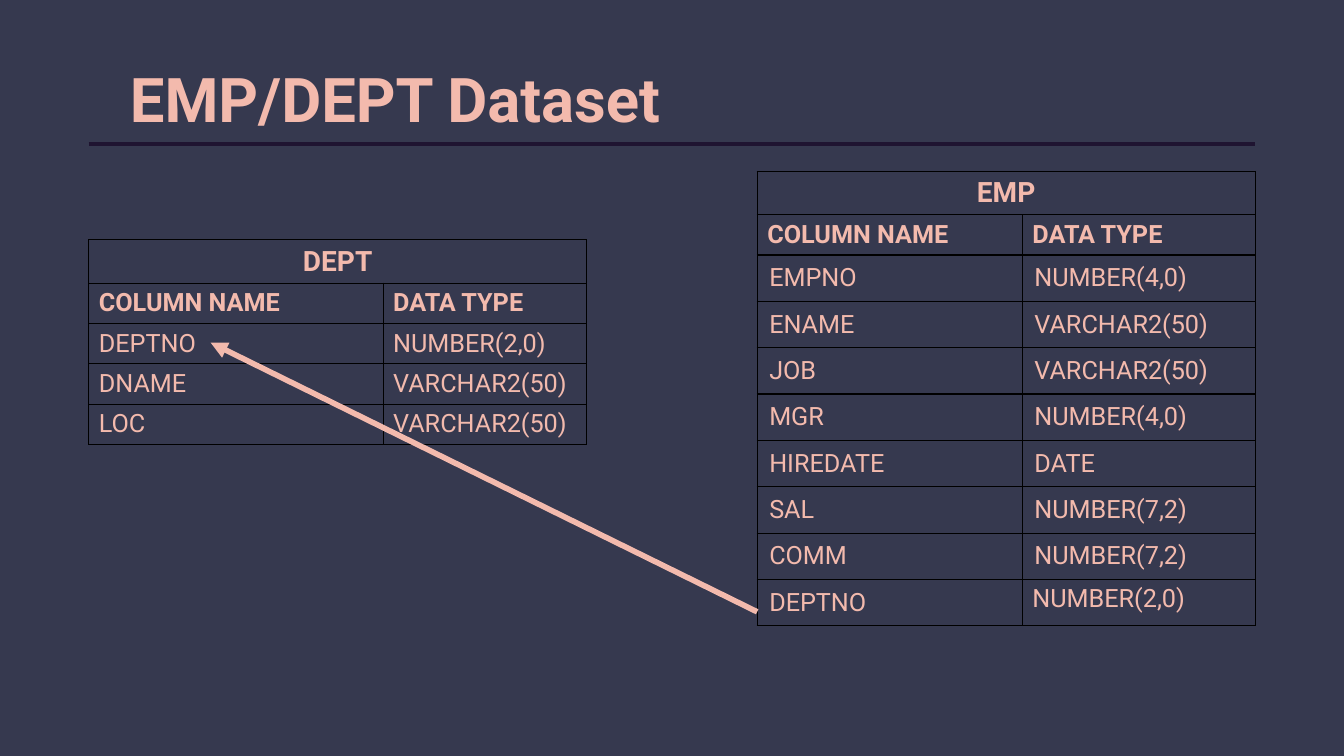
from lxml.etree import SubElement
from pptx import Presentation
from pptx.dml.color import RGBColor
from pptx.enum.shapes import MSO_CONNECTOR, MSO_SHAPE
from pptx.enum.text import MSO_ANCHOR, PP_ALIGN
from pptx.oxml.ns import qn
from pptx.util import Inches, Pt

NAVY, PINK, PLUM, BLACK = "36394F", "F3BAAD", "1F1431", "000000"


def paint(item, color):
    """Give a fill or a line one solid colour."""
    item = getattr(item, "fill", item)
    item.solid()
    item.fore_color.rgb = RGBColor.from_string(color)


def style(para, size, bold):
    for run in para.runs:
        font = run.font
        font.name, font.size, font.bold = "Roboto", Pt(size), bold
        font.color.rgb = RGBColor.from_string(PINK)


deck = Presentation()
deck.slide_width, deck.slide_height = Inches(13.33), Inches(7.5)
slide = deck.slides.add_slide(deck.slide_layouts[6])
paint(slide.background, NAVY)

# Title
title = slide.shapes.add_shape(
    MSO_SHAPE.RECTANGLE, Inches(1.19), Inches(0.51), Inches(9.04), Inches(0.77))
title.shadow.inherit = False
paint(title, NAVY)
title.line.fill.background()
frame = title.text_frame
frame.text = "EMP/DEPT Dataset"
frame.word_wrap = True
frame.vertical_anchor = MSO_ANCHOR.TOP
frame.margin_top = Inches(0.09)
frame.paragraphs[0].alignment = PP_ALIGN.LEFT
style(frame.paragraphs[0], 44, True)

# Tables: name, left, top, column widths, body row height, body insets, rows
dept = [("DEPTNO", "NUMBER(2,0)"), ("DNAME", "VARCHAR2(50)"),
        ("LOC", "VARCHAR2(50)")]
emp = [("EMPNO", "NUMBER(4,0)"), ("ENAME", "VARCHAR2(50)"),
       ("JOB", "VARCHAR2(50)"), ("MGR", "NUMBER(4,0)"), ("HIREDATE", "DATE"),
       ("SAL", "NUMBER(7,2)"), ("COMM", "NUMBER(7,2)"),
       ("DEPTNO", "NUMBER(2,0)")]
tables = [("DEPT", 0.88, 2.38, (2.92, 2.02), 0.4, (0.1, 0.05), dept),
          ("EMP", 7.51, 1.7, (2.63, 2.31), 0.46, (0.12, 0.08), emp)]

for name, left, top, widths, height, insets, body in tables:
    rows = [(name, ""), ("COLUMN NAME", "DATA TYPE")] + body
    heights = [0.43, 0.4] + [height] * len(body)
    table = slide.shapes.add_table(
        len(rows), 2, Inches(left), Inches(top),
        Inches(sum(widths)), Inches(sum(heights))).table
    table.first_row = table.horz_banding = False
    for col, width in zip(table.columns, widths):
        col.width = Inches(width)
    for r, texts in enumerate(rows):
        table.rows[r].height = Inches(heights[r])
        for c, text in enumerate(texts):
            cell = table.cell(r, c)
            cell.text = text
            # The last type in EMP sits at the top of its cell
            raised = name == "EMP" and (r, c) == (len(rows) - 1, 1)
            cell.vertical_anchor = MSO_ANCHOR.TOP if raised else MSO_ANCHOR.MIDDLE
            side, edge = (0.1, 0.05) if r < 2 or raised else insets
            cell.margin_left = cell.margin_right = Inches(side)
            cell.margin_top = cell.margin_bottom = Inches(edge)
            para = cell.text_frame.paragraphs[0]
            para.alignment = PP_ALIGN.LEFT if r else PP_ALIGN.CENTER
            style(para, 18 if r else 20, r < 2)
            props = cell._tc.get_or_add_tcPr()
            for tag in ("a:lnL", "a:lnR", "a:lnT", "a:lnB"):
                border = SubElement(props, qn(tag), w=str(Pt(1)))
                solid = SubElement(border, qn("a:solidFill"))
                SubElement(solid, qn("a:srgbClr"), val=BLACK)
            cell.fill.background()
    table.cell(0, 0).merge(table.cell(0, 1))

# Title rule, then the key arrow from EMP to DEPT
lines = [(0.88, 1.43, 12.45, 1.43, PLUM, 3, False),
         (7.51, 6.07, 2.09, 3.4, PINK, 4, True)]
for x1, y1, x2, y2, color, width, arrow in lines:
    line = slide.shapes.add_connector(
        MSO_CONNECTOR.STRAIGHT, Inches(x1), Inches(y1), Inches(x2), Inches(y2))
    paint(line.line, color)
    line.line.width = Pt(width)
    if arrow:
        SubElement(line.line._get_or_add_ln(), qn("a:tailEnd"), type="triangle")
    SubElement(line._element.spPr, qn("a:effectLst"))

deck.save("out.pptx")
